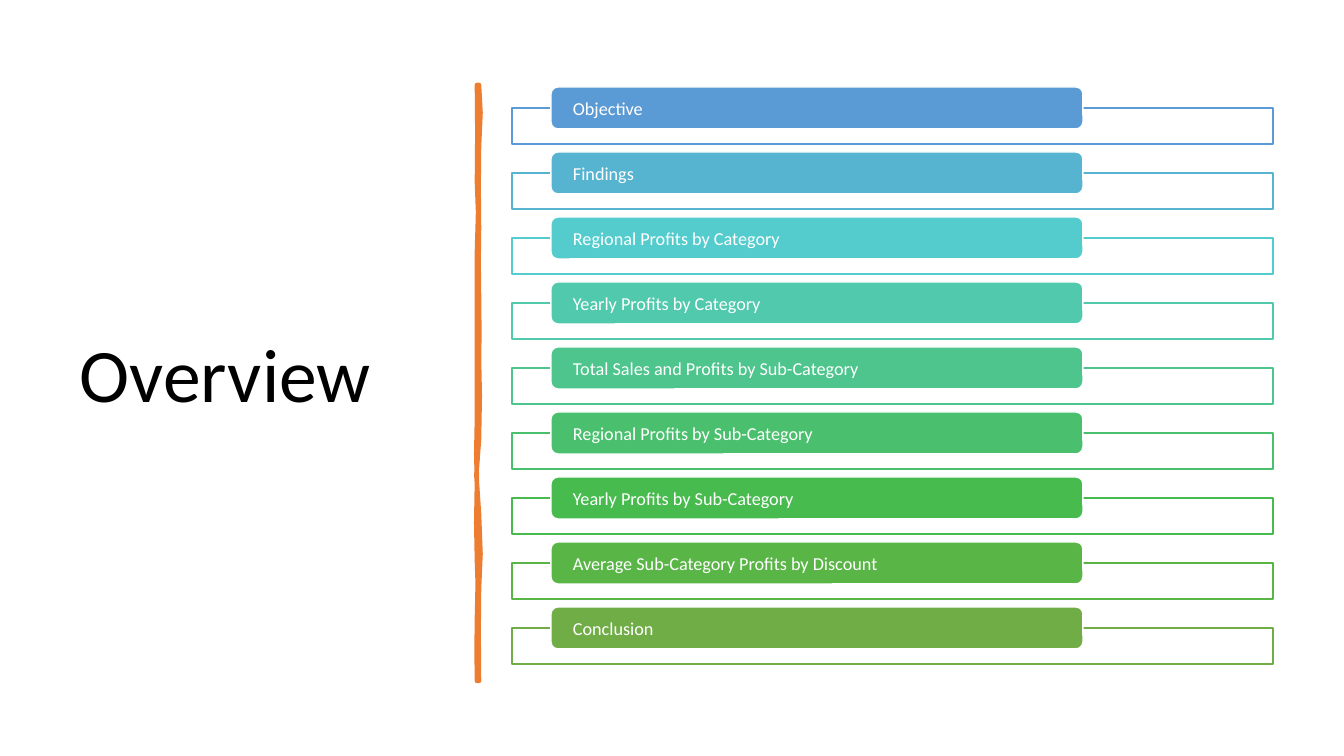
from dataclasses import dataclass
from typing import Any

from lxml import etree
from pptx import Presentation, util as u
from pptx.dml import color
from pptx.enum import shapes, text
from pptx.oxml import ns

SCALE = u.Inches(1) / 100.8
FONT = "Calibri"
ORANGE, WHITE, BLACK = "ED7D31", "FFFFFF", "000000"


@dataclass(frozen=True)
class Topic:
    label: str
    tint: str


@dataclass(frozen=True)
class Box:
    left: int
    top: int
    width: int
    height: int

    def emu(self) -> list[int]:
        return [px(v) for v in (self.left, self.top, self.width, self.height)]


@dataclass(frozen=True)
class Bend:
    """Cubic piece of a brush edge: two control points and the end height."""
    x1: int
    y1: int
    x2: int
    y2: int
    end: int


TOPICS = [
    Topic("Objective", "5B9BD5"),
    Topic("Findings", "57B4D1"),
    Topic("Regional Profits by Category", "54CCCD"),
    Topic("Yearly Profits by Category", "51C9AD"),
    Topic("Total Sales and Profits by Sub-Category", "4DC58D"),
    Topic("Regional Profits by Sub-Category", "4AC06E"),
    Topic("Yearly Profits by Sub-Category", "48BB4F"),
    Topic("Average Sub-Category Profits by Discount", "59B546"),
    Topic("Conclusion", "70AD47"),
]
FIRST_TOP, PITCH = 87, 65

# Brush edges: right side runs down, left side runs back up
BRUSH_TOP, BRUSH_BOTTOM, BRUSH_LEFT, BRUSH_RIGHT = 85, 681, 477, 479
RIGHT_EDGE = [
    Bend(481, 103, 481, 120, 147), Bend(477, 174, 480, 197, 228),
    Bend(478, 259, 479, 264, 296), Bend(478, 328, 481, 345, 359),
    Bend(477, 373, 483, 417, 439), Bend(475, 461, 476, 488, 514),
    Bend(481, 540, 481, 569, 589), Bend(477, 608, 480, 655, BRUSH_BOTTOM),
]
LEFT_EDGE = [
    Bend(478, 651, 475, 649, 618), Bend(478, 588, 478, 575, 561),
    Bend(476, 548, 476, 499, 481), Bend(477, 463, 475, 449, 418),
    Bend(478, 389, 476, 376, 338), Bend(478, 300, 476, 283, 252),
    Bend(478, 220, 479, 202, 182), Bend(474, 164, 481, 105, BRUSH_TOP),
]


def px(value: float) -> int:
    return round(value * SCALE)


def rgb(value: str) -> color.RGBColor:
    return color.RGBColor.from_string(value)


def apply(target: Any, values: dict[str, Any]) -> None:
    for name, value in values.items():
        setattr(target, name, value)


def paint(shape: Any, fill: str, line: str, weight: float = 1) -> None:
    shape.shadow.inherit = False
    shape.fill.solid()
    shape.fill.fore_color.rgb = rgb(fill)
    shape.line.color.rgb = rgb(line)
    shape.line.width = u.Pt(weight)


def write(shape: Any, wording: str, size: float, tint: str,
          frame_format: dict[str, Any], spacing: float = 1.0) -> None:
    frame = shape.text_frame
    apply(frame, {"word_wrap": True, "vertical_anchor": text.MSO_ANCHOR.MIDDLE, **frame_format})
    paragraph = frame.paragraphs[0]
    apply(paragraph, {"alignment": text.PP_ALIGN.LEFT, "line_spacing": spacing})
    run = paragraph.add_run()
    run.text = wording
    apply(run.font, {"name": FONT, "size": u.Pt(size)})
    run.font.color.rgb = rgb(tint)


def trace(edge_x: int, start: int, bends: list[Bend], steps: int = 2) -> list[tuple[int, int]]:
    points = [(px(edge_x), px(start))]
    for bend in bends:
        xs = (edge_x, bend.x1, bend.x2, edge_x)
        ys = (start, bend.y1, bend.y2, bend.end)
        for step in range(1, steps + 1):
            t = step / steps
            weights = ((1 - t) ** 3, 3 * t * (1 - t) ** 2, 3 * t * t * (1 - t), t ** 3)
            points.append((px(sum(w * x for w, x in zip(weights, xs))),
                           px(sum(w * y for w, y in zip(weights, ys)))))
        start = bend.end
    return points


def draw_brush(slide: Any) -> None:
    points = (trace(BRUSH_RIGHT, BRUSH_TOP, RIGHT_EDGE)
              + trace(BRUSH_LEFT, BRUSH_BOTTOM, LEFT_EDGE))
    builder = slide.shapes.build_freeform(*points[0])
    builder.add_line_segments(points[1:], close=True)
    paint(builder.convert_to_shape(), ORANGE, ORANGE, 3.25)


def draw_topic(slide: Any, topic: Topic, top: int) -> None:
    frame = slide.shapes.add_shape(shapes.MSO_SHAPE.RECTANGLE, *Box(512, top + 21, 761, 36).emu())
    paint(frame, WHITE, topic.tint)
    frame_fill = frame.element.spPr.find(ns.qn("a:solidFill"))
    etree.SubElement(frame_fill[0], ns.qn("a:alpha"), val="90000")

    tab = slide.shapes.add_shape(shapes.MSO_SHAPE.ROUNDED_RECTANGLE, *Box(551, top, 532, 42).emu())
    paint(tab, topic.tint, WHITE)
    write(tab, topic.label, 13, WHITE, {"margin_left": px(20), "margin_right": px(20),
                                        "margin_top": 0, "margin_bottom": 0})


presentation = Presentation()
apply(presentation, {"slide_width": px(1344), "slide_height": px(756)})
overview = presentation.slides.add_slide(presentation.slide_layouts[6])

# Heading
heading = overview.shapes.add_textbox(*Box(70, 70, 377, 616).emu())
write(heading, "Overview", 54, BLACK, {}, 0.9)

# Brush divider
draw_brush(overview)

# Topic list
for index, entry in enumerate(TOPICS):
    draw_topic(overview, entry, FIRST_TOP + index * PITCH)

presentation.save("out.pptx")
